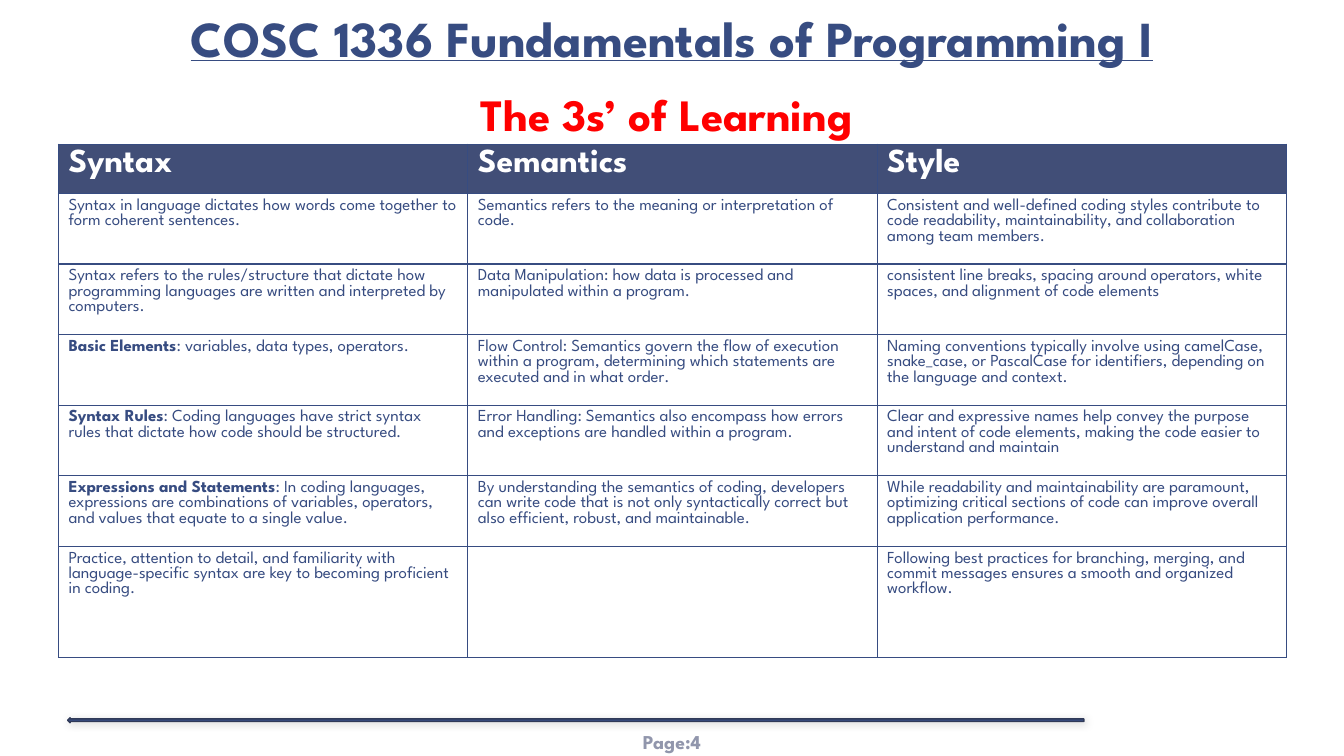
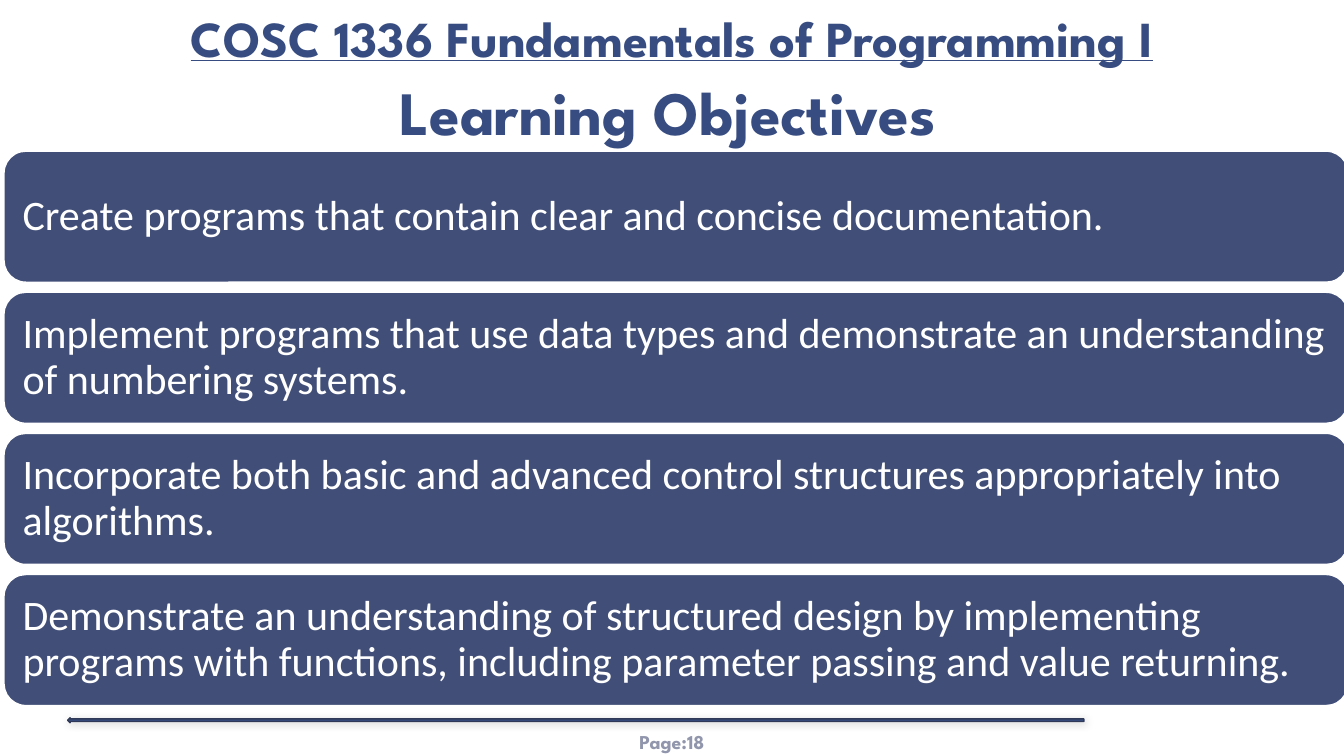
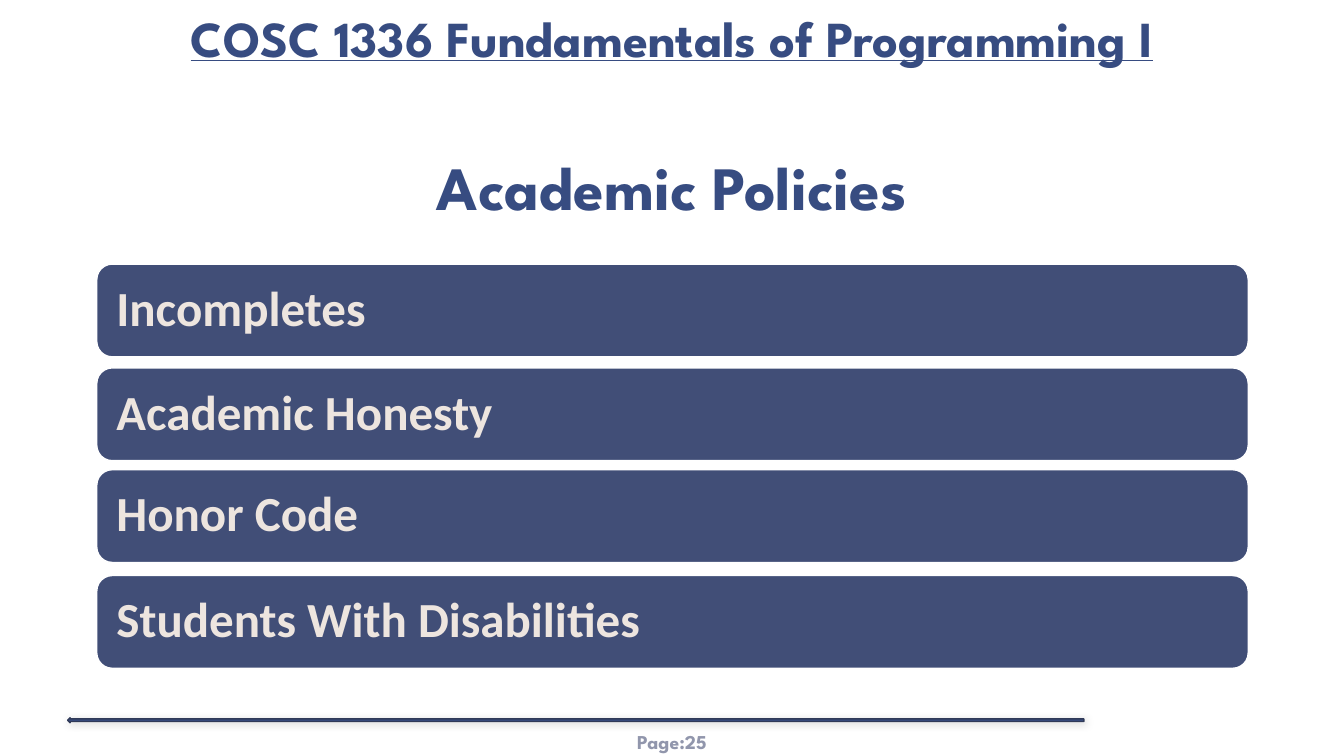
from lxml import etree
from pptx import Presentation
from pptx.dml.color import RGBColor
from pptx.enum.shapes import MSO_SHAPE as SHAPE
from pptx.enum.text import MSO_ANCHOR as ANCHOR, MSO_AUTO_SIZE as AUTO, PP_ALIGN as ALIGN
from pptx.oxml import parse_xml
from pptx.oxml.ns import nsdecls, qn
from pptx.util import Inches, Pt

COLORS = {
    "navy": "374C81", "panel": "414E77", "edge": "303A58", "page": "9196AC",
    "red": "FF0000", "white": "FFFFFF", "cream": "EDE5DF", "black": "000000",
}
HEADING, BODY = "League Spartan", "Calibri"
COURSE = "COSC 1336 Fundamentals of Programming I"
LEARNING = [
    ["Syntax", "Semantics", "Style"],
    ["Syntax in language dictates how words come together to form coherent sentences.",
     "Semantics refers to the meaning or interpretation of code.",
     "Consistent and well-defined coding styles contribute to code readability, "
     "maintainability, and collaboration among team members."],
    ["Syntax refers to the rules/structure that dictate how programming languages are "
     "written and interpreted by computers.",
     "Data Manipulation: how data is processed and manipulated within a program.",
     "consistent line breaks, spacing around operators, white spaces, and alignment of "
     "code elements"],
    [("Basic Elements", ": variables, data types, operators."),
     "Flow Control: Semantics govern the flow of execution within a program, determining "
     "which statements are executed and in what order.",
     "Naming conventions typically involve using camelCase, snake_case, or PascalCase for "
     "identifiers, depending on the language and context."],
    [("Syntax Rules", ": Coding languages have strict syntax rules that dictate how code "
      "should be structured."),
     "Error Handling: Semantics also encompass how errors and exceptions are handled "
     "within a program.",
     "Clear and expressive names help convey the purpose and intent of code elements, "
     "making the code easier to understand and maintain"],
    [("Expressions and Statements", ": In coding languages, expressions are combinations "
      "of variables, operators, and values that equate to a single value."),
     "By understanding the semantics of coding, developers can write code that is not only "
     "syntactically correct but also efficient, robust, and maintainable.",
     "While readability and maintainability are paramount, optimizing critical sections of "
     "code can improve overall application performance."],
    ["Practice, attention to detail, and familiarity with language-specific syntax are key "
     "to becoming proficient in coding.",
     "",
     "Following best practices for branching, merging, and commit messages ensures a smooth "
     "and organized workflow."],
]
OBJECTIVES = [
    "Create programs that contain clear and concise documentation.",
    "Implement programs that use data types and demonstrate an understanding of numbering "
    "systems.",
    "Incorporate both basic and advanced control structures appropriately into algorithms.",
    "Demonstrate an understanding of structured design by implementing programs with "
    "functions, including parameter passing and value returning.",
]
POLICIES = ["Incompletes", "Academic Honesty", "Honor Code", "Students With Disabilities"]


def rgb(name):
    return RGBColor.from_string(COLORS[name])


def add_run(p, text, size, color, font=HEADING, bold=False, underline=False):
    r = p.add_run()
    r.text = text
    f = r.font
    f.name, f.size, f.bold, f.underline = font, Pt(size), bold, underline
    f.color.rgb = rgb(color)


def set_frame(tf, anchor, x_inset, y_inset):
    tf.word_wrap = True
    tf.auto_size = AUTO.NONE
    tf.vertical_anchor = anchor
    tf.margin_left = tf.margin_right = Inches(x_inset)
    tf.margin_top = tf.margin_bottom = Inches(y_inset)


def add_label(s, box, text, size, color, anchor, insets, underline=False):
    tf = s.shapes.add_textbox(*map(Inches, box)).text_frame
    set_frame(tf, anchor, *insets)
    p = tf.paragraphs[0]
    p.alignment = ALIGN.CENTER
    add_run(p, text, size, color, bold=True, underline=underline)


def add_panel(s, kind, box, fill, line):
    sp = s.shapes.add_shape(kind, *map(Inches, box))
    sp.shadow.inherit = False
    sp.fill.solid()
    sp.fill.fore_color.rgb = rgb(fill)
    sp.line.color.rgb = rgb(line)
    sp.line.width = Pt(1)
    return sp


def add_footer(s, page):
    add_label(s, (5.78, 7.16, 1.77, 0.4), f"Page:{page}", 14, "page", ANCHOR.MIDDLE, (0.04, 0.02))
    arrow = add_panel(s, SHAPE.LEFT_ARROW, (0.67, 7.12, 10.08, 0.05), "navy", "edge")
    effects = arrow.fill._xPr.find(qn("a:effectLst"))
    shadow = etree.SubElement(effects, qn("a:outerShdw"), blurRad=str(Pt(6)),
                              dist=str(Pt(1)), dir=str(45 * 60000), rotWithShape="0")
    color = etree.SubElement(shadow, qn("a:srgbClr"), val=COLORS["black"])
    etree.SubElement(color, qn("a:alpha"), val="20000")


def add_title(s, text, box, size, color):
    sp = s.shapes.title
    sp.left, sp.top, sp.width, sp.height = map(Inches, box)
    tf = sp.text_frame
    set_frame(tf, ANCHOR.BOTTOM, 0.13, 0.07)
    p = tf.paragraphs[0]
    p.alignment = ALIGN.CENTER
    p.line_spacing = 0.8
    add_run(p, text, size, color, bold=True)


def add_slide(prs, page, title, box, size=44, color="navy"):
    s = prs.slides.add_slide(prs.slide_layouts[5])
    add_title(s, title, box, size, color)
    add_footer(s, page)
    add_label(s, (0, 0.02, 13.33, 0.71), COURSE, 36, "navy", ANCHOR.TOP, (0.1, 0.05), True)
    return s


def add_bars(s, texts, tops, left, width, height, inset, **style):
    for text, top in zip(texts, tops):
        sp = add_panel(s, SHAPE.ROUNDED_RECTANGLE, (left, top, width, height), "panel", "white")
        set_frame(sp.text_frame, ANCHOR.MIDDLE, inset, inset)
        p = sp.text_frame.paragraphs[0]
        p.alignment = ALIGN.LEFT
        p.line_spacing = 0.9
        add_run(p, text, font=BODY, **style)


def set_borders(cell):
    tc_pr = cell._tc.get_or_add_tcPr()
    for i, side in enumerate("LRTB"):
        tc_pr.insert(i, parse_xml(
            f'<a:ln{side} {nsdecls("a")} w="{Pt(1)}"><a:solidFill>'
            f'<a:srgbClr val="{COLORS["navy"]}"/></a:solidFill></a:ln{side}>'))


def fill_cell(cell, content, header):
    if header:
        cell.fill.solid()
        cell.fill.fore_color.rgb = rgb("panel")
    else:
        cell.fill.background()
    set_borders(cell)
    p = cell.text_frame.paragraphs[0]
    if header:
        add_run(p, content, 24, "white", bold=True)
    elif isinstance(content, tuple):
        term, rest = content
        add_run(p, term, 12, "navy", bold=True)
        add_run(p, rest, 12, "navy")
    elif content:
        add_run(p, content, 12, "navy")


def add_grid(s, rows, left, top, col_width, heights):
    cols = len(rows[0])
    table = s.shapes.add_table(len(rows), cols, Inches(left), Inches(top),
                               Inches(col_width * cols), Inches(sum(heights))).table
    for col in table.columns:
        col.width = Inches(col_width)
    for i, (row, height) in enumerate(zip(rows, heights)):
        table.rows[i].height = Inches(height)
        for j, content in enumerate(row):
            fill_cell(table.cell(i, j), content, i == 0)


def main():
    prs = Presentation()
    prs.slide_width, prs.slide_height = Inches(13.33), Inches(7.5)

    s = add_slide(prs, 4, "The 3s’ of Learning", (-0.05, 0.75, 13.33, 0.71), 32, "red")
    add_grid(s, LEARNING, 0.58, 1.43, 4.06, [0.49] + [0.7] * 5 + [1.1])

    s = add_slide(prs, 18, "Learning Objectives", (-0.04, 0.67, 13.33, 0.86))
    add_bars(s, OBJECTIVES, [1.5 + 1.4 * i for i in range(4)], 0.04, 13.33, 1.3, 0.12,
             size=30, color="white")

    s = add_slide(prs, 25, "Academic Policies", (0, 1.42, 13.33, 0.86))
    add_bars(s, POLICIES, [2.62, 3.65, 4.66, 5.71], 0.96, 11.42, 0.92, 0.15,
             size=35, color="cream", bold=True)

    prs.save("out.pptx")


if __name__ == "__main__":
    main()
